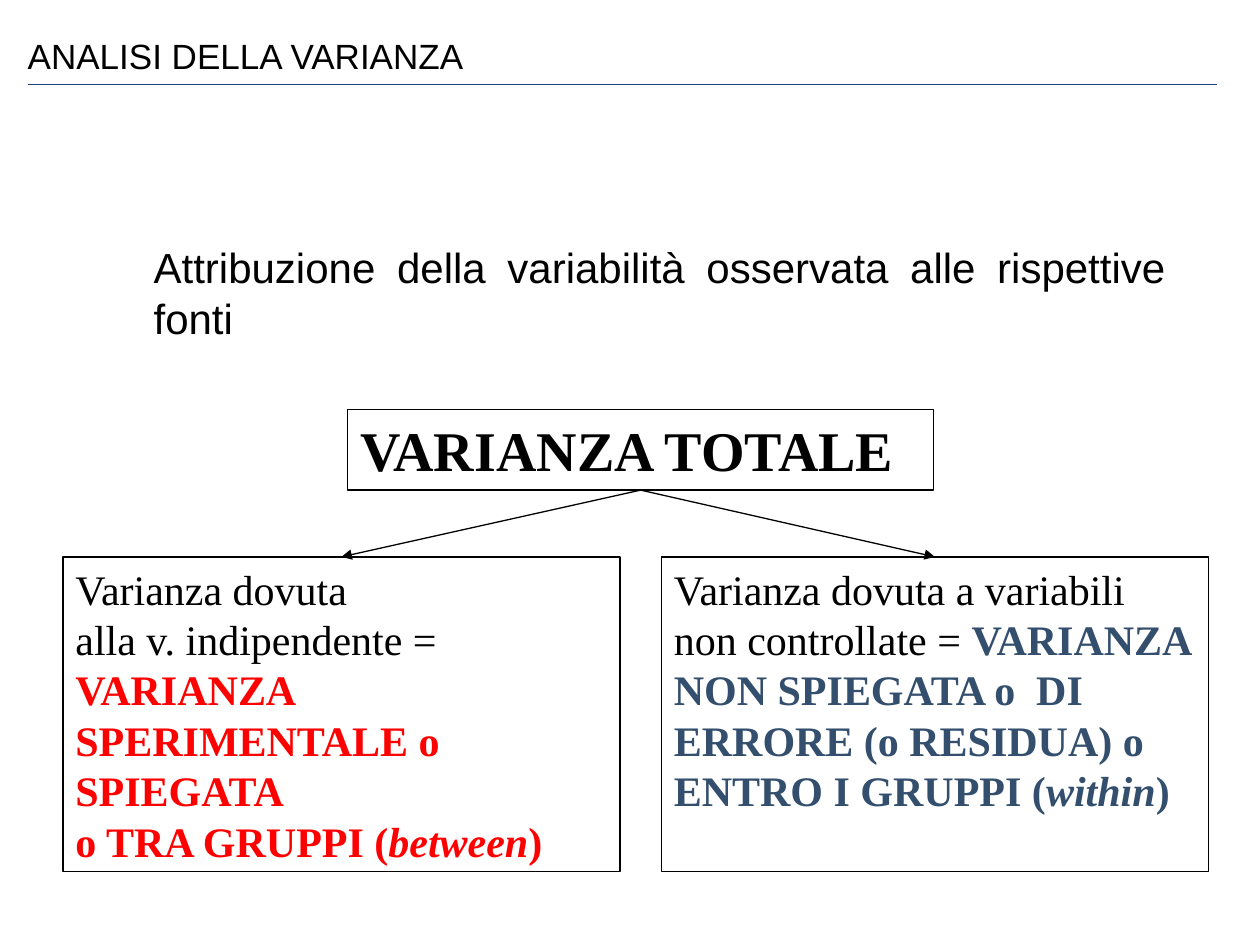
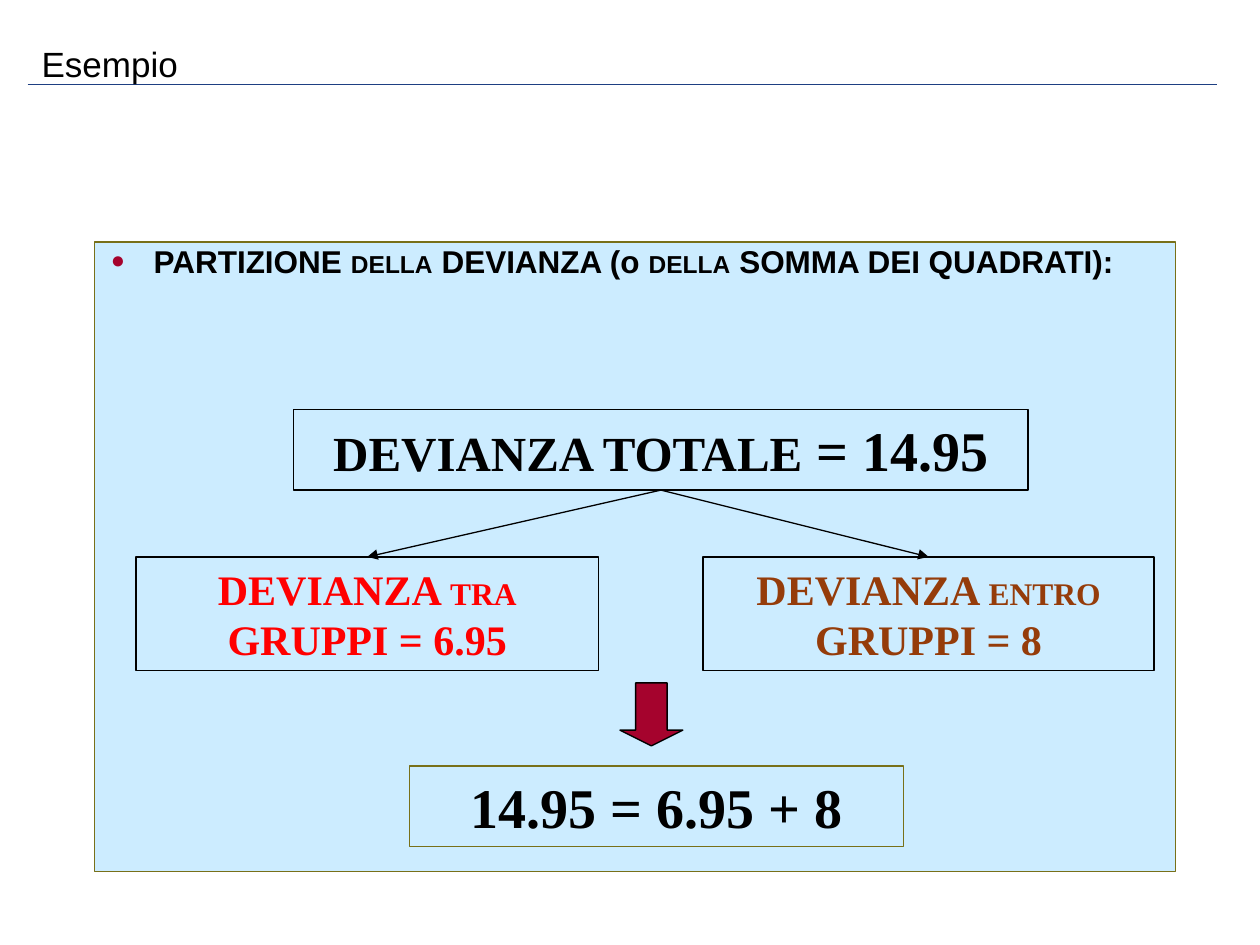
"""Builds two slides on how variance is partitioned between its sources."""
from lxml.etree import SubElement
from pptx import Presentation
from pptx.dml.color import RGBColor
from pptx.enum.shapes import MSO_CONNECTOR as LINE, MSO_SHAPE as SHAPE
from pptx.enum.text import MSO_ANCHOR as ANCHOR, PP_ALIGN as ALIGN
from pptx.oxml.ns import qn
from pptx.util import Pt

PX = 9144
SANS, SERIF = "Arial", "Times New Roman"
BLACK, NAVY, OLIVE = "000000", "1E3F82", "787019"
RED, SLATE, BROWN = "FF0000", "334F6D", "953C0A"
CRIMSON, SKY = "A5032D", "CCECFF"
LINE_HEIGHT = 1.2
BOTTOM, TOP = 2, 0


def rgb(code):
    return RGBColor.from_string(code)


def run(text, size=24, color=BLACK, bold=False, italic=False):
    return text, size, color, bold, italic


class Deck:
    def __init__(self):
        self.show = Presentation()
        self.show.slide_width, self.show.slide_height = 1000 * PX, 750 * PX
        self.slide = None

    def page(self, title, at):
        self.slide = self.show.slides.add_slide(self.show.slide_layouts[6])
        self.line((22, 67), (966, 67), NAVY, 1)
        self.label(at, [[run(title, 20)]], anchor=ANCHOR.BOTTOM)

    def line(self, start, end, color=BLACK, width=0.75):
        ends = [value * PX for value in (*start, *end)]
        rule = self.slide.shapes.add_connector(LINE.STRAIGHT, *ends)
        rule.line.color.rgb = rgb(color)
        rule.line.width = Pt(width)
        SubElement(rule._element.spPr, qn("a:effectLst"))
        return rule

    def arrow(self, source, target):
        link = self.line((0, 0), (0, 0))
        link.begin_connect(source, BOTTOM)
        link.end_connect(target, TOP)
        stroke = link._element.spPr.get_or_add_ln()
        SubElement(stroke, qn("a:tailEnd"), type="triangle")

    def shape(self, at, kind=SHAPE.RECTANGLE, fill=None, border=BLACK):
        item = self.slide.shapes.add_shape(kind, *[value * PX for value in at])
        item.shadow.inherit = False
        if fill:
            item.fill.solid()
            item.fill.fore_color.rgb = rgb(fill)
        else:
            item.fill.background()
        item.line.color.rgb = rgb(border)
        item.line.width = Pt(0.75)
        return item

    def box(self, at, paragraphs, align=ALIGN.LEFT, fill=None, border=BLACK):
        item = self.shape(at, fill=fill, border=border)
        self.set_text(item.text_frame, paragraphs, SERIF, align, (10, 5))
        return item

    def label(self, at, paragraphs, align=ALIGN.LEFT, anchor=ANCHOR.TOP):
        item = self.slide.shapes.add_textbox(*[value * PX for value in at])
        self.set_text(item.text_frame, paragraphs, SANS, align, anchor=anchor)
        return item

    def set_text(self, frame, paragraphs, font, align, inset=(0, 0), anchor=ANCHOR.TOP):
        frame.word_wrap = True
        frame.vertical_anchor = anchor
        frame.margin_left = frame.margin_right = inset[0] * PX
        frame.margin_top = frame.margin_bottom = inset[1] * PX
        for index, runs in enumerate(paragraphs):
            para = frame.add_paragraph() if index else frame.paragraphs[0]
            para.alignment = align
            para.line_spacing = Pt(LINE_HEIGHT * max(size for _, size, *_ in runs))
            for text, size, color, bold, italic in runs:
                piece = para.add_run()
                piece.text = text
                piece.font.name, piece.font.size = font, Pt(size)
                piece.font.bold, piece.font.italic = bold, italic
                piece.font.color.rgb = rgb(color)

    def indent(self, item, bullet=None):
        props = item.text_frame.paragraphs[0]._p.get_or_add_pPr()
        props.set("marL", str(47 * PX))
        props.set("indent", str(-34 * PX if bullet else 0))
        if bullet:
            tint = SubElement(props, qn("a:buClr"))
            SubElement(tint, qn("a:srgbClr"), val=CRIMSON)
            SubElement(props, qn("a:buSzPct"), val="75000")
            SubElement(props, qn("a:buFont"), typeface=SANS)
            SubElement(props, qn("a:buChar"), char=bullet)

    def split(self, whole, parts):
        for part in parts:
            self.arrow(whole, part)


def variance_slide(deck):
    deck.page("ANALISI DELLA VARIANZA", (22, 1, 896, 60))
    intro = deck.label((75, 192, 850, 475), [[run(
        "Attribuzione della variabilità osservata alle rispettive fonti")]], ALIGN.JUSTIFY)
    deck.indent(intro)
    total = deck.box((276, 325, 465, 64), [[run("VARIANZA TOTALE", 32, bold=True), run(" ")]])
    explained = deck.box((50, 442, 442, 250), [
        [run("Varianza dovuta")],
        [run("alla v. indipendente =")],
        [run("VARIANZA SPERIMENTALE o SPIEGATA", color=RED, bold=True)],
        [run("o TRA GRUPPI (", color=RED, bold=True),
         run("between", color=RED, bold=True, italic=True),
         run(")", color=RED, bold=True)]])
    residual = deck.box((525, 442, 434, 250), [[
        run("Varianza dovuta a variabili non controllate = "),
        run("VARIANZA NON SPIEGATA o  DI ERRORE (o RESIDUA) o ENTRO I GRUPPI (",
            color=SLATE, bold=True),
        run("within", color=SLATE, bold=True, italic=True),
        run(")", color=SLATE, bold=True)]])
    deck.split(total, (explained, residual))


def example_slide(deck):
    deck.page("Esempio", (33, 17, 850, 50))
    panel = deck.shape((75, 192, 858, 500), fill=SKY, border=OLIVE)
    heading = [("PARTIZIONE ", 18), ("DELLA", 14), (" DEVIANZA (o ", 18),
               ("DELLA", 14), (" SOMMA DEI QUADRATI):", 18)]
    deck.set_text(panel.text_frame, [[run(*piece, bold=True) for piece in heading]],
                  SANS, ALIGN.JUSTIFY)
    deck.indent(panel, "●")
    total = deck.box((233, 325, 583, 64), [[
        run("DEVIANZA TOTALE", 28, bold=True), run(" = 14.95", 32, bold=True)]], ALIGN.CENTER)
    between = deck.box((108, 442, 367, 90), [[
        run("DEVIANZA ", 24, RED, True), run("TRA", 18, RED, True),
        run(" GRUPPI = 6.95", 24, RED, True)]], ALIGN.CENTER)
    within = deck.box((558, 442, 358, 90), [[
        run("DEVIANZA ", 24, BROWN, True), run("ENTRO ", 18, BROWN, True),
        run("GRUPPI = 8", 24, BROWN, True)]], ALIGN.CENTER)
    deck.split(total, (between, within))
    deck.box((325, 608, 392, 64), [[run("14.95 = 6.95 + 8", 32, bold=True)]],
             ALIGN.CENTER, SKY, OLIVE)
    result = deck.shape((492, 542, 50, 50), SHAPE.DOWN_ARROW, CRIMSON)
    result.adjustments[0], result.adjustments[1] = 0.5, 0.25


def main():
    deck = Deck()
    variance_slide(deck)
    example_slide(deck)
    deck.show.save("out.pptx")


if __name__ == "__main__":
    main()
